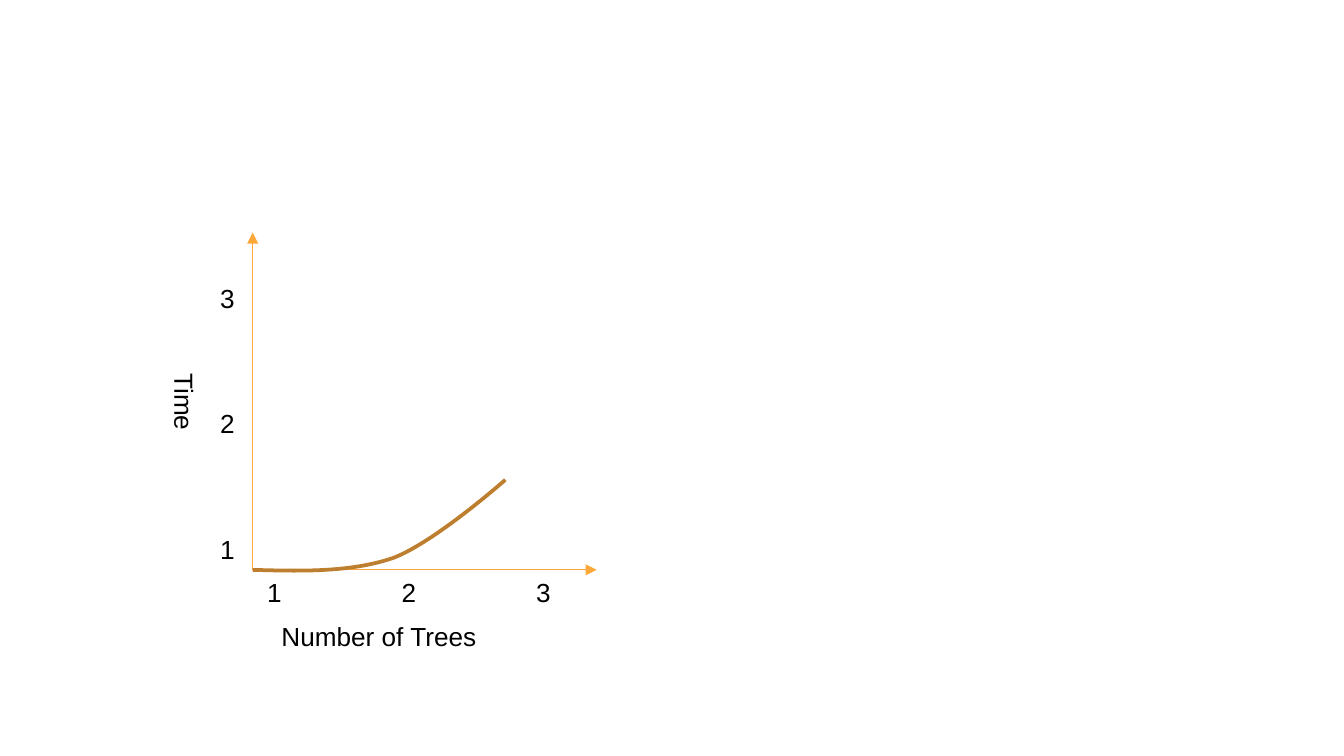
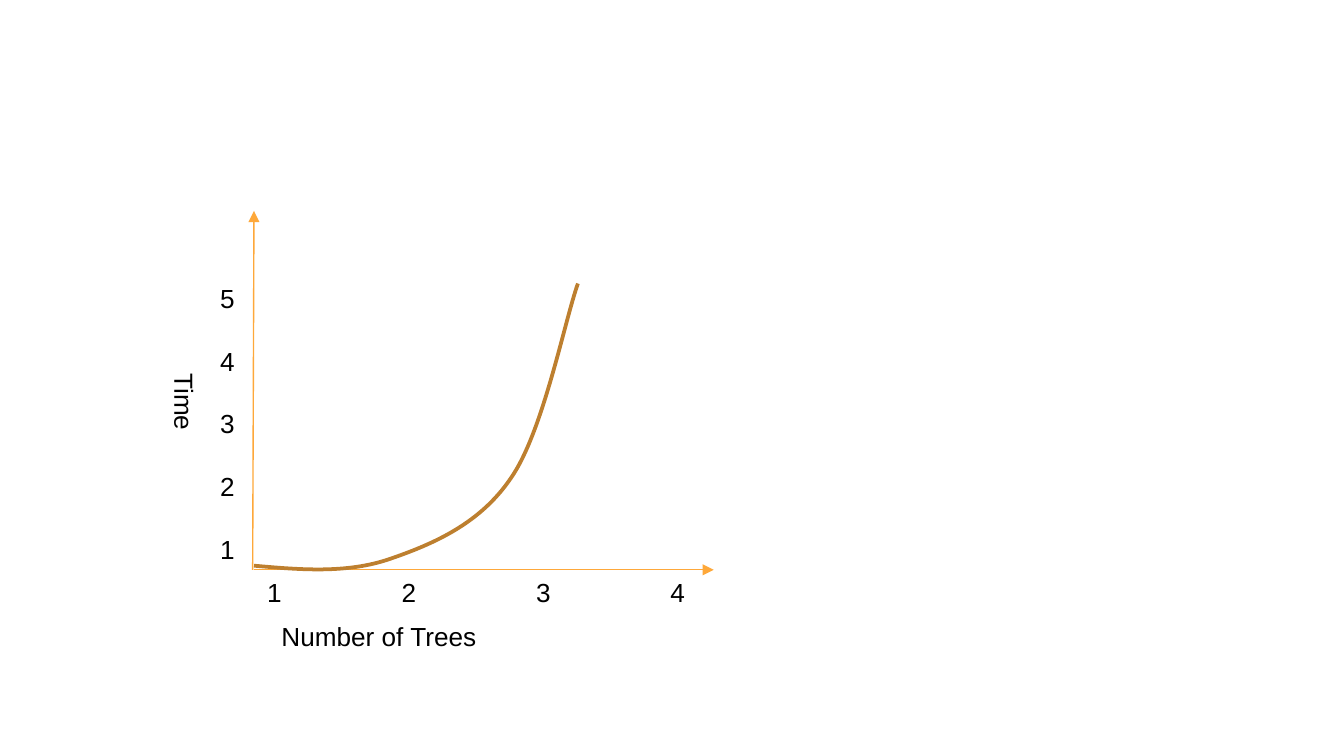
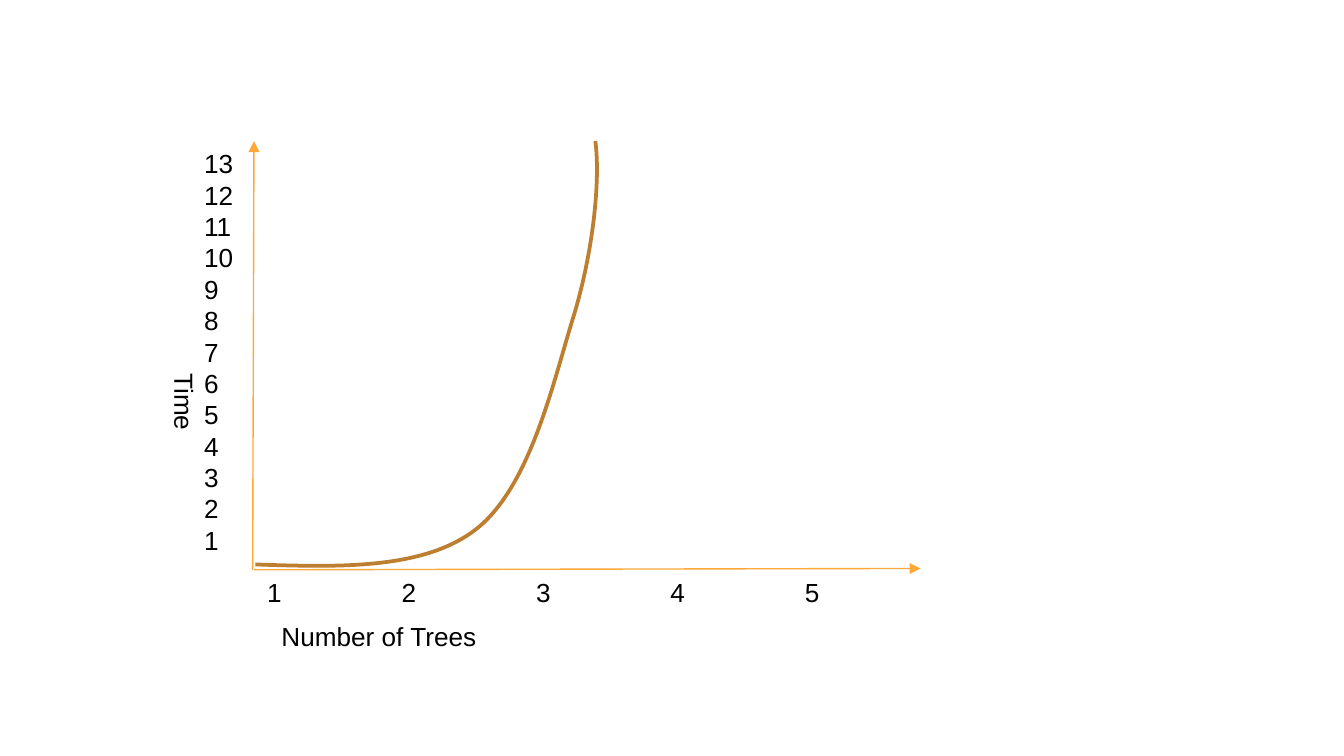
from dataclasses import dataclass
from itertools import chain

from lxml import etree
from pptx import Presentation
from pptx import util as u
from pptx.dml.color import RGBColor
from pptx.enum import shapes, text
from pptx.oxml.ns import qn


@dataclass(frozen=True)
class Theme:
    font: str = "Arial"
    label_size: u.Length = u.Pt(14)
    line_pitch: u.Length = u.Pt(16.83)
    ink: RGBColor = RGBColor(0x00, 0x00, 0x00)
    axis: RGBColor = RGBColor(0xFE, 0xA8, 0x3A)
    axis_width: u.Length = u.Pt(0.75)
    growth: RGBColor = RGBColor(0xBD, 0x7F, 0x2F)
    growth_width: u.Length = u.Pt(2)


THEME = Theme()
LABEL_HEIGHT = 0.34
AXIS_Y = 4.24


@dataclass(frozen=True)
class Graph:
    trees: int            # highest number on the horizontal axis
    times: int            # highest number on the vertical axis
    lines_per_time: int   # text lines from one time to the next
    time_box: tuple       # left, top, width, height
    trees_width: float
    trees_tip: tuple
    time_tip: tuple
    curve: tuple          # start, then two controls and an end per bend


GRAPHS = (
    Graph(3, 3, 4, (1.54, 2.05, 0.34, 2.22), 2.34, (4.44, 4.24), (1.88, 1.73),
          ((1.88, 4.24),
           (2.24, 4.25), (2.61, 4.26), (2.93, 4.15),
           (3.24, 4.03), (3.76, 3.57), (3.76, 3.57))),
    Graph(4, 5, 2, (1.54, 2.05, 0.34, 2.22), 3.43, (5.31, 4.24), (1.89, 1.57),
          ((1.89, 4.21),
           (2.23, 4.24), (2.58, 4.27), (2.9, 4.16),
           (3.22, 4.05), (3.57, 3.9), (3.8, 3.56),
           (4.04, 3.22), (4.2, 2.39), (4.3, 2.11))),
    Graph(5, 13, 1, (1.42, 1.05, 0.45, 3.16), 4.64, (6.85, 4.23), (1.89, 1.05),
          ((1.9, 4.2),
           (2.52, 4.22), (3.15, 4.24), (3.54, 3.94),
           (3.94, 3.63), (4.11, 2.87), (4.26, 2.38),
           (4.41, 1.9), (4.47, 1.35), (4.43, 1.05))),
)


def inches(values):
    return [u.Inches(value) for value in values]


def add_label(slide, box, lines, align=text.PP_ALIGN.LEFT, lines_apart=1):
    label = slide.shapes.add_textbox(*inches(box))
    frame = label.text_frame
    frame.word_wrap = True
    frame.auto_size = text.MSO_AUTO_SIZE.SHAPE_TO_FIT_TEXT
    for index, line in enumerate(lines):
        paragraph = frame.add_paragraph() if index else frame.paragraphs[0]
        paragraph.alignment = align
        paragraph.line_spacing = THEME.line_pitch
        if index and lines_apart > 1:
            paragraph.space_before = u.Emu(THEME.line_pitch * (lines_apart - 1))
        run = paragraph.add_run()
        run.text = line
        run.font.name = THEME.font
        run.font.size = THEME.label_size
        run.font.color.rgb = THEME.ink
    return label


def add_tree_numbers(slide, graph):
    """Number the horizontal axis, with a tab stop at every inch."""
    numbers = "\t".join(str(n) for n in range(1, graph.trees + 1))
    box = (1.89, AXIS_Y, graph.trees_width, LABEL_HEIGHT)
    label = add_label(slide, box, [numbers])
    properties = label.text_frame.paragraphs[0]._p.get_or_add_pPr()
    stops = etree.SubElement(properties, qn("a:tabLst"))
    for stop in range(1, graph.trees):
        etree.SubElement(stops, qn("a:tab"), pos=str(u.Inches(stop)), algn="l")


def add_time_numbers(slide, graph):
    """Number the vertical axis; two-digit times wrap within one paragraph."""
    two_digit = "".join(str(n) for n in range(graph.times, 9, -1))
    one_digit = [str(n) for n in range(min(graph.times, 9), 0, -1)]
    lines = [two_digit] + one_digit if two_digit else one_digit
    add_label(slide, graph.time_box, lines, lines_apart=graph.lines_per_time)


def add_axis(slide, start, tip):
    axis = slide.shapes.add_connector(
        shapes.MSO_CONNECTOR.STRAIGHT, *inches(start + tip))
    axis.line.color.rgb = THEME.axis
    axis.line.width = THEME.axis_width
    etree.SubElement(axis.line._get_or_add_ln(), qn("a:tailEnd"), type="triangle")
    etree.SubElement(axis._element.spPr, qn("a:effectLst"))


def add_growth_curve(slide, points):
    """Draw the points as an open outline, then turn each three into a bend."""
    start, *rest = [inches(point) for point in points]
    builder = slide.shapes.build_freeform(*start)
    builder.add_line_segments(rest, close=False)
    curve = builder.convert_to_shape()
    outline = next(curve._element.iter(qn("a:path")))
    segments = outline.findall(qn("a:lnTo"))
    for first in range(0, len(segments), 3):
        bend = etree.SubElement(outline, qn("a:cubicBezTo"))
        bend.extend(list(chain.from_iterable(segments[first:first + 3])))
    for segment in segments:
        outline.remove(segment)
    curve.shadow.inherit = False
    curve.fill.background()
    curve.line.color.rgb = THEME.growth
    curve.line.width = THEME.growth_width


def add_graph(slide, graph):
    center = text.PP_ALIGN.CENTER
    add_label(slide, (1.97, 4.57, 1.7, LABEL_HEIGHT), ["Number of Trees"], center)
    time_title = add_label(slide, (0.52, 2.82, 1.7, LABEL_HEIGHT), ["Time"], center)
    time_title.rotation = 90
    add_axis(slide, (1.89, AXIS_Y), graph.trees_tip)
    add_axis(slide, (1.88, AXIS_Y), graph.time_tip)
    add_tree_numbers(slide, graph)
    add_time_numbers(slide, graph)
    add_growth_curve(slide, graph.curve)


def main():
    deck = Presentation()
    deck.slide_width = u.Inches(10)
    deck.slide_height = u.Emu(deck.slide_width * 9 // 16)
    blank = deck.slide_layouts[6]
    for graph in GRAPHS:
        add_graph(deck.slides.add_slide(blank), graph)
    deck.save("out.pptx")


if __name__ == "__main__":
    main()
